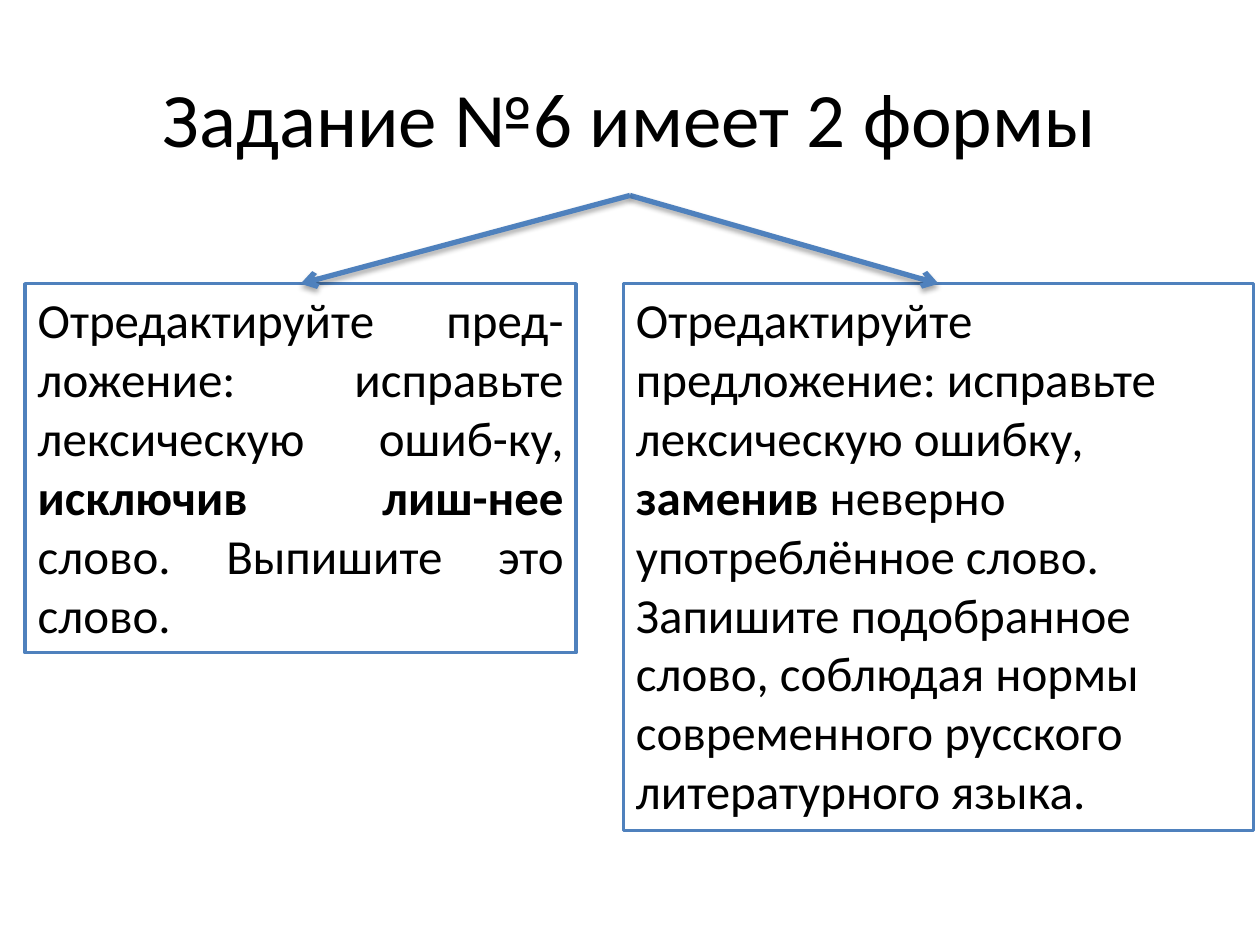
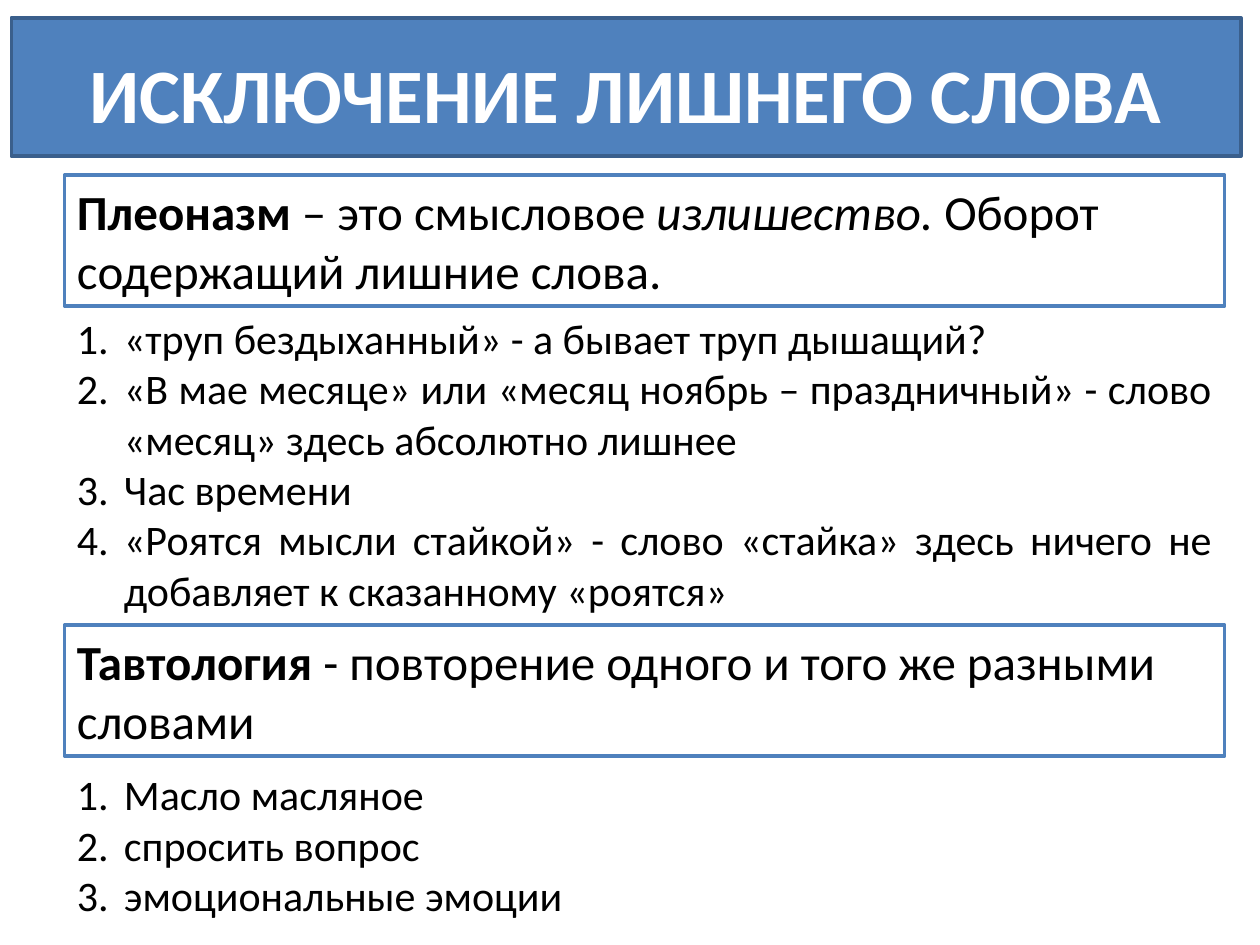
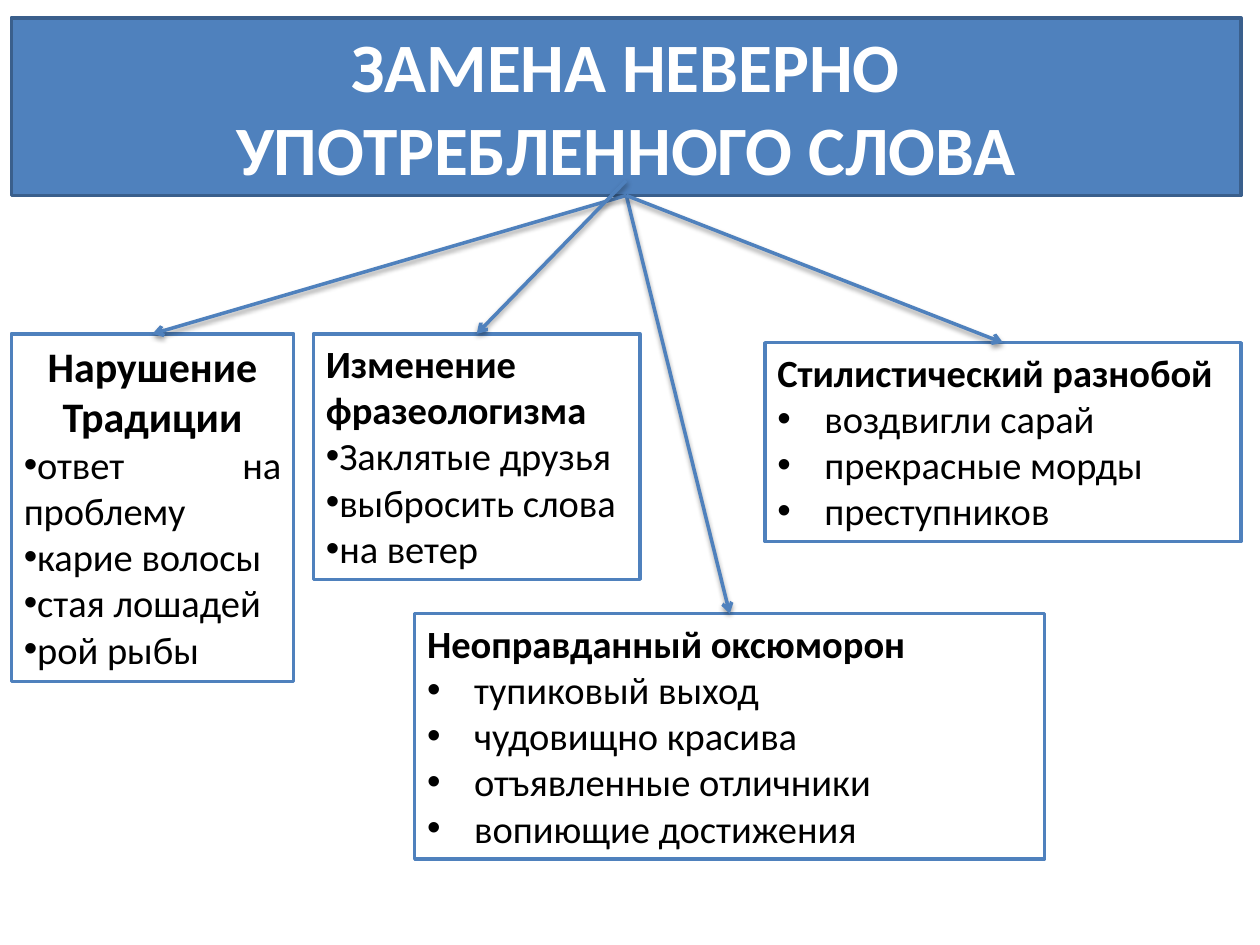
"""Builds three slides on correcting lexical errors in Russian sentences."""
from lxml.etree import SubElement
from pptx import Presentation
from pptx.dml.color import RGBColor
from pptx.enum.shapes import MSO_CONNECTOR as CONN, MSO_SHAPE as SHAPE
from pptx.enum.text import MSO_ANCHOR as ANCHOR, MSO_AUTO_SIZE as FIT, PP_ALIGN as AL
from pptx.oxml.ns import qn
from pptx.util import Cm, Pt


def rgb(value):
    return RGBColor.from_string(value)


class Deck:
    FONT = "Calibri"
    INK, PAPER, BLUE, NAVY = "000000", "FFFFFF", "4F81BD", "3A5F8C"
    TITLE_LAYOUT = 5
    INDENT = Cm(0.95)

    def __init__(self):
        self.prs = Presentation()
        self.prs.slide_width, self.prs.slide_height = Cm(25.4), Cm(19.05)
        self.s = None

    def new_slide(self):
        self.s = self.prs.slides.add_slide(self.prs.slide_layouts[self.TITLE_LAYOUT])

    def run(self, p, text, size, style="", color=INK):
        r = p.add_run()
        r.text = text
        f = r.font
        f.name, f.size, f.color.rgb = self.FONT, Pt(size), rgb(color)
        f.bold, f.italic = "b" in style, "i" in style

    def para(self, sp, runs, size, align=AL.LEFT, mark=None, hanging=False):
        tf = sp.text_frame
        p = tf.paragraphs[0]
        if p.runs:
            p = tf.add_paragraph()
        p.alignment = align
        if mark:
            pPr = p._p.get_or_add_pPr()
            indent = self.INDENT if hanging else 0
            pPr.set("marL", str(indent))
            pPr.set("indent", str(-indent))
            if mark == "1.":
                SubElement(pPr, qn("a:buFont"), typeface="+mj-lt")
                SubElement(pPr, qn("a:buAutoNum"), type="arabicPeriod")
            else:
                SubElement(pPr, qn("a:buFont"), typeface="Arial")
                SubElement(pPr, qn("a:buChar"), char=mark)
        for text, style in runs:
            self.run(p, text, size, style)

    def items(self, sp, texts, size, align=AL.LEFT, mark="•", hanging=True):
        for text in texts:
            self.para(sp, [(text, "")], size, align, mark, hanging)

    def title(self, text, x, y, w, h, size=44, style="", color=INK):
        sp = self.s.shapes.title
        sp.left, sp.top, sp.width, sp.height = Cm(x), Cm(y), Cm(w), Cm(h)
        tf = sp.text_frame
        tf.word_wrap, tf.auto_size, tf.vertical_anchor = True, FIT.NONE, ANCHOR.MIDDLE
        p = tf.paragraphs[0]
        p.alignment = AL.CENTER
        self.run(p, text, size, style, color)
        return sp

    def rect(self, x, y, w, h, fill, line):
        sp = self.s.shapes.add_shape(SHAPE.RECTANGLE, Cm(x), Cm(y), Cm(w), Cm(h))
        sp.shadow.inherit = False
        sp.fill.solid()
        sp.fill.fore_color.rgb = rgb(fill)
        sp.line.color.rgb, sp.line.width = rgb(line), Pt(2)
        return sp

    def band_title(self, text, band_h, title_y, size):
        band = self.rect(0.23, 0.36, 24.79, band_h, self.BLUE, self.NAVY)
        title = self.title(text, 1.19, title_y, 22.86, 3, size, "b", self.PAPER)
        band._element.addnext(title._element)
        return band, title

    def frame(self, sp):
        tf = sp.text_frame
        tf.word_wrap, tf.auto_size, tf.vertical_anchor = True, FIT.SHAPE_TO_FIT_TEXT, ANCHOR.TOP
        return sp

    def box(self, x, y, w, h):
        return self.frame(self.rect(x, y, w, h, self.PAPER, self.BLUE))

    def text(self, x, y, w, h):
        return self.frame(self.s.shapes.add_textbox(Cm(x), Cm(y), Cm(w), Cm(h)))

    def arrow(self, start, end, width, distance, alpha):
        c = self.s.shapes.add_connector(CONN.STRAIGHT, 0, 0, 0, 0)
        c.begin_connect(start, 2)
        c.end_connect(end, 0)
        c.line.color.rgb, c.line.width = rgb(self.BLUE), Pt(width)
        SubElement(c.line._get_or_add_ln(), qn("a:tailEnd"), type="arrow")
        effects = SubElement(c._element.spPr, qn("a:effectLst"))
        shadow = SubElement(effects, qn("a:outerShdw"), blurRad=str(Pt(3.1)),
                            dist=str(Pt(distance)), dir="5400000", rotWithShape="0")
        tint = SubElement(shadow, qn("a:srgbClr"), val=self.INK)
        SubElement(tint, qn("a:alpha"), val=str(alpha * 1000))


def two_forms(d):
    d.new_slide()
    title = d.title("Задание №6 имеет 2 формы", 1.27, 0.76, 22.86, 3.18)
    exclude = d.box(0.51, 5.72, 11.1, 7.44)
    d.para(exclude, [("Отредактируйте пред-ложение: исправьте лексическую ошиб-ку, ", ""),
                     ("исключив лиш-нее", "b"),
                     (" слово. Выпишите это слово.", "")], 28, AL.JUSTIFY)
    replace = d.box(12.57, 5.72, 12.7, 11.02)
    d.para(replace, [("Отредактируйте предложение: исправьте лексическую ошибку, ", ""),
                     ("заменив", "b"),
                     (" неверно употреблённое слово. Запишите подобранное слово, "
                      "соблюдая нормы современного русского литературного языка.", "")], 28)
    for form in (replace, exclude):
        d.arrow(title, form, 3, 1.8, 35)


def extra_word(d):
    d.new_slide()
    d.band_title("ИСКЛЮЧЕНИЕ ЛИШНЕГО СЛОВА", 2.79, 0.36, 44)
    x, w = 1.3, 23.39
    d.para(d.box(x, 3.53, w, 2.64), [("Плеоназм", "b"), (" – это смысловое ", ""),
                                     ("излишество. ", "i"),
                                     ("Оборот содержащий лишние слова.", "")], 28)
    d.items(d.text(x, 6.17, w, 6.4), [
        "«труп бездыханный» - а бывает труп дышащий?",
        "«В мае месяце» или «месяц ноябрь – праздничный» - слово «месяц» здесь абсолютно лишнее",
        "Час времени",
        "«Роятся мысли стайкой» - слово «стайка» здесь ничего не добавляет к сказанному «роятся»",
    ], 24, AL.JUSTIFY, "1.")
    d.para(d.box(x, 12.6, w, 2.64), [("Тавтология", "b"),
                                     (" - повторение одного и того же разными словами", "")], 28)
    d.items(d.text(x, 15.37, w, 3.35),
            ["Масло масляное", "спросить вопрос", "эмоциональные эмоции"], 24, mark="1.")


def wrong_word(d):
    d.new_slide()
    band, title = d.band_title("ЗАМЕНА НЕВЕРНО УПОТРЕБЛЕННОГО СЛОВА", 3.58, 0.64, 39.6)

    tradition = d.box(0.23, 6.73, 5.69, 7.01)
    for word in ("Нарушение", "Традиции"):
        d.para(tradition, [(word, "b")], 24, AL.CENTER)
    d.items(tradition, ["ответ на проблему", "карие волосы", "стая лошадей", "рой рыбы"],
            22, AL.JUSTIFY, hanging=False)

    idiom = d.box(6.32, 6.73, 6.58, 4.95)
    d.para(idiom, [("Изменение фразеологизма", "b")], 22, AL.JUSTIFY)
    d.items(idiom, ["Заклятые друзья", "выбросить слова", "на ветер"],
            22, AL.JUSTIFY, hanging=False)

    oxymoron = d.box(8.36, 12.37, 12.7, 4.95)
    d.para(oxymoron, [("Неоправданный оксюморон", "b")], 22)
    d.items(oxymoron, ["тупиковый выход", "чудовищно красива", "отъявленные отличники",
                       "вопиющие достижения"], 22)

    style = d.box(15.42, 6.91, 9.6, 4.01)
    d.para(style, [("Стилистический разнобой", "b")], 22)
    d.items(style, ["воздвигли сарай", "прекрасные морды", "преступников"], 22)

    for start, end in ((band, tradition), (title, idiom), (band, oxymoron), (band, style)):
        d.arrow(start, end, 2, 1.6, 38)


def main():
    d = Deck()
    for build in (two_forms, extra_word, wrong_word):
        build(d)
    d.prs.save("out.pptx")


if __name__ == "__main__":
    main()
